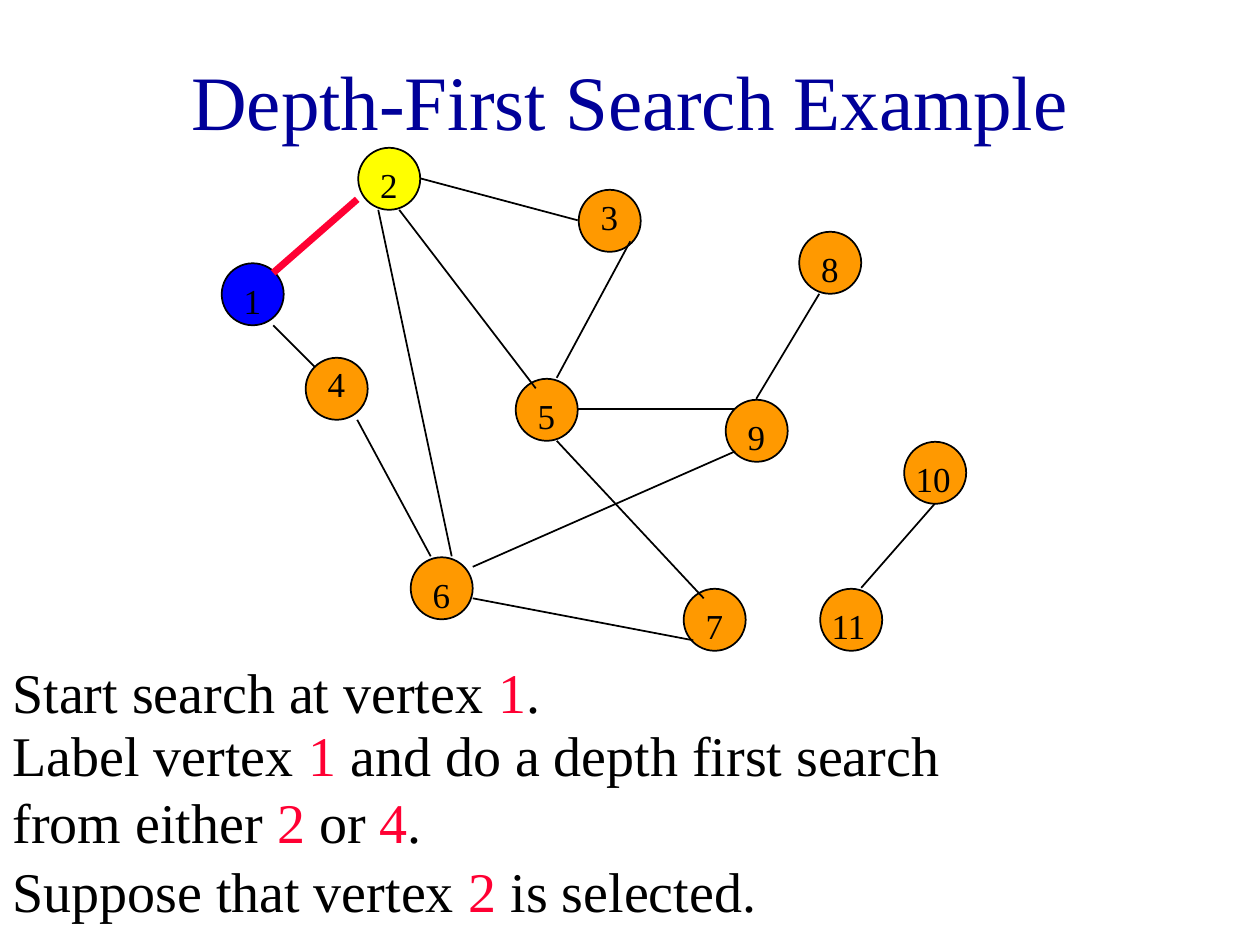
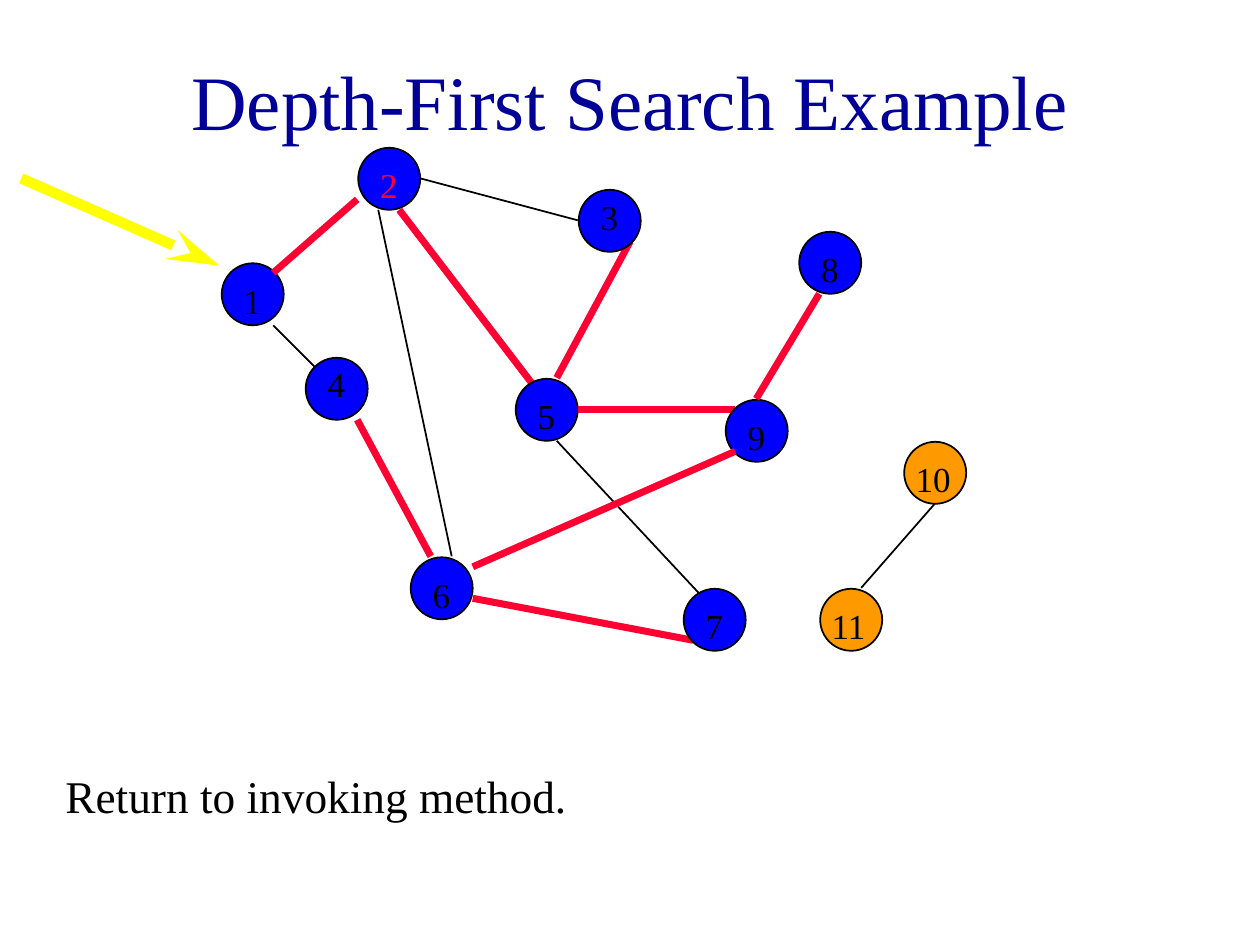
from itertools import groupby

from lxml import etree
from pptx import Presentation
from pptx.dml.color import RGBColor
from pptx.enum.shapes import MSO_CONNECTOR, MSO_SHAPE
from pptx.enum.text import MSO_ANCHOR, PP_ALIGN
from pptx.oxml.ns import qn
from pptx.util import Cm, Pt

COLORS = {
    "title": "000099",
    "ink": "000000",
    "accent": "FF0033",
    "unvisited": "FF9900",
    "visited": "0000FF",
    "current": "FFFF00",
}
FONT = "Times New Roman"

# The graph lies on a grid of twelve steps to the inch
GRID = 2.54 / 12
GRAPH_BOX = (4.45, 2.96)
DIAMETER = 1.25
VERTICES = {
    1: (0, 11), 2: (13, 0), 3: (34, 4), 4: (8, 20), 5: (28, 22), 6: (18, 39),
    7: (44, 42), 8: (55, 8), 9: (48, 24), 10: (65, 28), 11: (57, 42),
}
RAISED_LABELS = (3, 4)
EDGES = {
    (1, 2): ((5, 12), (13, 5)),
    (2, 5): ((17, 6), (30, 23)),
    (1, 4): ((5, 17), (9, 21)),
    (4, 6): ((13, 26), (20, 39)),
    (6, 7): ((24, 43), (45, 47)),
    (3, 5): ((39, 9), (32, 22)),
    (5, 7): ((32, 28), (46, 43)),
    (8, 9): ((57, 14), (51, 24)),
    (10, 11): ((68, 34), (61, 42)),
    (5, 9): ((34, 25), (49, 25)),
    (2, 3): ((19, 3), (34, 7)),
    (2, 6): ((15, 6), (22, 39)),
    (6, 9): ((24, 40), (49, 29)),
}


def color(name):
    return RGBColor.from_string(COLORS[name])


def add_text(s, box, text, size, ink="ink", digits="accent"):
    """Text box whose numbers take a colour of their own."""
    tf = s.shapes.add_textbox(*map(Cm, box)).text_frame
    tf.word_wrap = True
    p = tf.paragraphs[0]
    for is_number, chars in groupby(text, str.isdigit):
        r = p.add_run()
        r.text = "".join(chars)
        r.font.name = FONT
        r.font.size = Pt(size)
        r.font.color.rgb = color(digits if is_number else ink)
    return tf


def add_title(s, box):
    tf = add_text(s, box, "Depth-First Search Example", 44, "title")
    tf.vertical_anchor = MSO_ANCHOR.MIDDLE
    tf.paragraphs[0].alignment = PP_ALIGN.CENTER


def at_grid(box, point):
    return [start + GRID * step for start, step in zip(box, point)]


def add_line(s, box, ends, ink="ink", width=1):
    begin, end = (at_grid(box, point) for point in ends)
    line = s.shapes.add_connector(MSO_CONNECTOR.STRAIGHT, *map(Cm, begin + end))
    line.line.color.rgb = color(ink)
    line.line.width = Pt(width)
    etree.SubElement(line._element.spPr, qn("a:effectLst"))
    return line


def add_vertex(s, box, number, fill, digits="ink"):
    column, row = VERTICES[number]
    x, y = at_grid(box, (column, row))
    circle = s.shapes.add_shape(MSO_SHAPE.OVAL, Cm(x + 0.02), Cm(y + 0.02),
                                Cm(DIAMETER), Cm(DIAMETER))
    circle.shadow.inherit = False
    circle.fill.solid()
    circle.fill.fore_color.rgb = color(fill)
    circle.line.color.rgb = color("ink")
    circle.line.width = Pt(1)

    # Number, one step into the circle where there is room
    wide = number > 9
    left, top = at_grid(box, (column + (not wide), row + (number not in RAISED_LABELS)))
    label_box = (left, top, GRID * (6 if wide else 3), 1.09)
    add_text(s, label_box, str(number), 20, digits=digits)


def add_graph(s, box, walk, current=None, red_numbers=()):
    """Draw the graph; walk lists (parent, vertex) in the order of the search."""
    reached = [vertex for _, vertex in walk]
    tree = [tuple(sorted(step)) for step in walk if step[0]]

    for number in VERTICES:
        if number not in reached:
            add_vertex(s, box, number, "unvisited")
    for edge, ends in EDGES.items():
        if edge not in tree:
            add_line(s, box, ends)

    # Search tree: the edge taken, then the vertex it reaches
    for parent, number in walk:
        if parent:
            add_line(s, box, EDGES[tuple(sorted((parent, number)))], "accent", 4)
        add_vertex(s, box, number, "current" if number == current else "visited",
                   "accent" if number in red_numbers else "ink")


def add_return_arrow(s, box):
    arrow = add_line(s, box, ((-19, 3), (-0.12, 11.32)), "current", 6)
    etree.SubElement(arrow.line._get_or_add_ln(), qn("a:tailEnd"),
                     type="stealth", w="med", len="lg")


def new_slide(prs):
    s = prs.slides.add_slide(prs.slide_layouts[6])
    add_title(s, (1.9, 0.43, 21.6, 3.18))
    return s


def start_slide(prs):
    s = new_slide(prs)
    add_graph(s, GRAPH_BOX, [(None, 1), (1, 2)], current=2)
    notes = [
        ((0, 13.13, 21.59, 1.98), "Start search at vertex 1.", 8),
        ((0, 14.4, 19.69, 2.97),
         "Label vertex 1 and do a depth first search from either 2 or 4.", 20),
        ((0, 17.15, 19.69, 1.6), "Suppose that vertex 2 is selected.", 20),
    ]
    for box, text, space in notes:
        add_text(s, box, text, 32).paragraphs[0].space_before = Pt(space)


def return_slide(prs):
    s = new_slide(prs)
    walk = [(None, 1), (1, 2), (2, 5), (5, 9), (9, 8), (9, 6), (6, 4), (6, 7), (5, 3)]
    add_graph(s, GRAPH_BOX, walk, red_numbers=(2,))
    add_return_arrow(s, GRAPH_BOX)
    tf = add_text(s, (1.07, 15.67, 22.02, 1.07), "Return to invoking method.", 25.9)
    tf.paragraphs[0].line_spacing = 0.7
    tf.paragraphs[0].space_before = Pt(7)


def main():
    prs = Presentation()
    prs.slide_width, prs.slide_height = Cm(25.4), Cm(19.05)
    start_slide(prs)
    return_slide(prs)
    prs.save("out.pptx")


if __name__ == "__main__":
    main()
